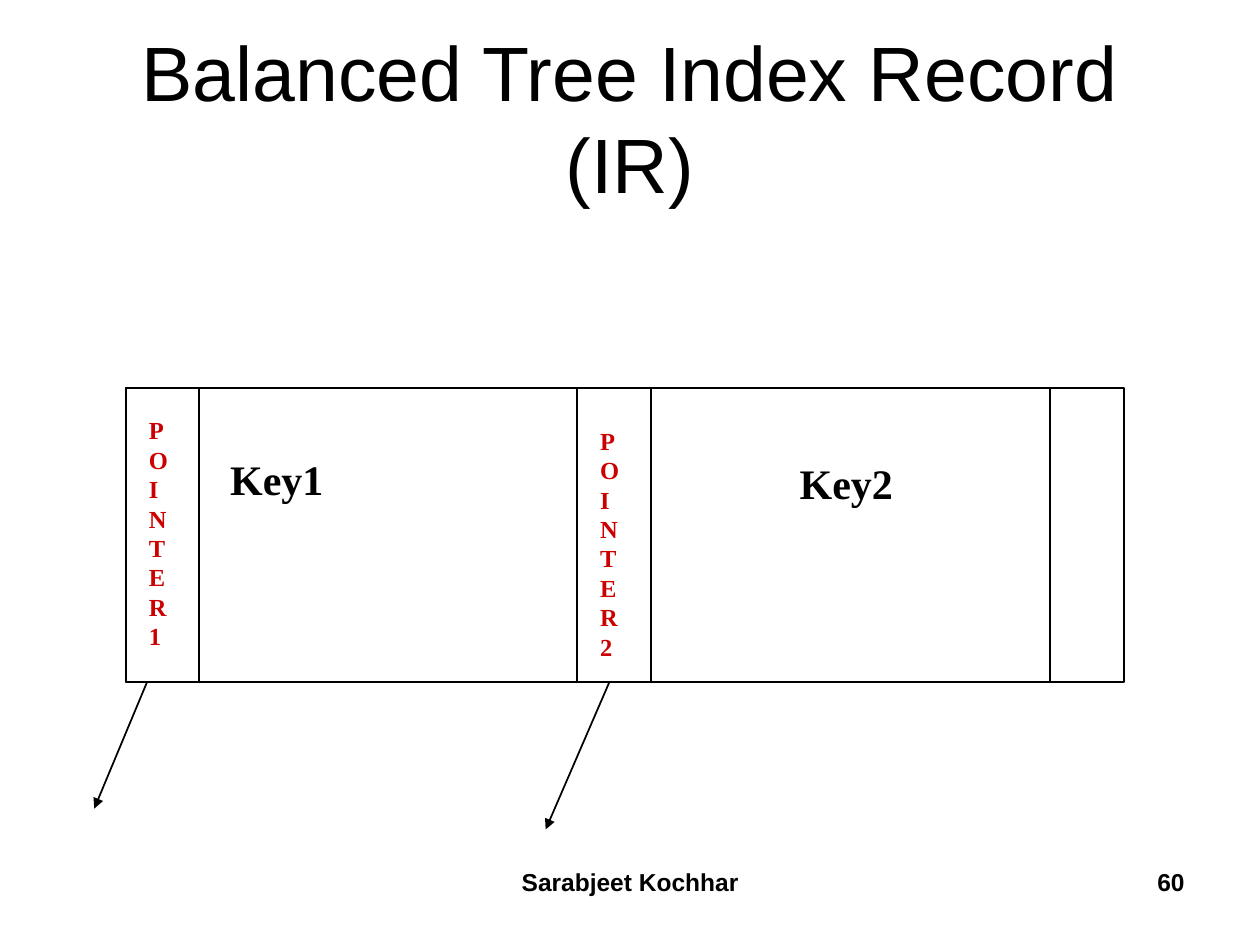
from lxml.etree import SubElement
from pptx import Presentation
from pptx.dml.color import RGBColor
from pptx.enum.shapes import MSO_CONNECTOR, MSO_SHAPE
from pptx.enum.text import MSO_ANCHOR, PP_ALIGN
from pptx.oxml.ns import qn
from pptx.util import Cm, Pt

BLACK = RGBColor(0x00, 0x00, 0x00)
RED = RGBColor(0xCC, 0x00, 0x00)

TITLE = "Balanced Tree Index Record (IR)"
TITLE_BOX = (1.27, 0.76, 22.86, 3.18)
RECORD = (2.54, 7.82, 20.12, 5.93)
POINTER_WIDTH = 1.48
POINTER_LEFTS = [2.54, 11.64, 21.17]
ARROWS = [((2.96, 13.76), (1.9, 16.3)), ((12.28, 13.76), (11, 16.72))]

TITLE_FONT = {"name": "Arial", "size": Pt(44), "bold": False}
KEY_FONT = {"name": "Times New Roman", "size": Pt(24), "bold": True}
POINTER_FONT = {"name": "Times New Roman", "size": Pt(14), "bold": True}
FOOTER_FONT = {"name": "Arial", "size": Pt(14), "bold": True}

LABELS = [
    (["Key1"], (4.39, 9.02, 2.39, 1.27), KEY_FONT, BLACK, PP_ALIGN.LEFT),
    (["Key2"], (15.87, 9.1, 2.39, 1.27), KEY_FONT, BLACK, PP_ALIGN.LEFT),
    (list("POINTER1"), (2.75, 8.25, 0.95, 5), POINTER_FONT, RED, PP_ALIGN.LEFT),
    (list("POINTER2"), (11.85, 8.46, 1.06, 5), POINTER_FONT, RED, PP_ALIGN.LEFT),
    (["Sarabjeet Kochhar"], (8.68, 17.36, 8.05, 1.32), FOOTER_FONT, BLACK, PP_ALIGN.CENTER),
    (["60"], (18.2, 17.36, 5.93, 1.32), FOOTER_FONT, BLACK, PP_ALIGN.RIGHT),
]


def lengths(values):
    return [Cm(value) for value in values]


def write(frame, lines, font, color, alignment):
    frame.word_wrap = True
    frame.text = "\n".join(lines)
    for paragraph in frame.paragraphs:
        paragraph.alignment = alignment
        for run in paragraph.runs:
            for name, value in font.items():
                setattr(run.font, name, value)
            run.font.color.rgb = color


def add_title(slide):
    title = slide.shapes.title
    title.left, title.top, title.width, title.height = lengths(TITLE_BOX)
    write(title.text_frame, [TITLE], TITLE_FONT, BLACK, PP_ALIGN.CENTER)
    title.text_frame.vertical_anchor = MSO_ANCHOR.MIDDLE


def add_cell(slide, box):
    cell = slide.shapes.add_shape(MSO_SHAPE.RECTANGLE, *lengths(box))
    cell.shadow.inherit = False
    cell.fill.background()
    cell.line.color.rgb = BLACK
    cell.line.width = Pt(1)


def add_arrow(slide, start, end):
    arrow = slide.shapes.add_connector(MSO_CONNECTOR.STRAIGHT, *lengths(start + end))
    arrow.line.color.rgb = BLACK
    arrow.line.width = Pt(1)
    SubElement(arrow.line._get_or_add_ln(), qn("a:tailEnd"), type="triangle")
    SubElement(arrow._element.spPr, qn("a:effectLst"))


def main():
    presentation = Presentation()
    presentation.slide_width, presentation.slide_height = lengths((25.4, 19.05))
    slide = presentation.slides.add_slide(presentation.slide_layouts[5])

    add_title(slide)
    add_cell(slide, RECORD)
    for left in POINTER_LEFTS:
        add_cell(slide, (left, RECORD[1], POINTER_WIDTH, RECORD[3]))
    for lines, box, font, color, alignment in LABELS:
        label = slide.shapes.add_textbox(*lengths(box))
        write(label.text_frame, lines, font, color, alignment)
    for start, end in ARROWS:
        add_arrow(slide, start, end)

    presentation.save("out.pptx")


if __name__ == "__main__":
    main()
